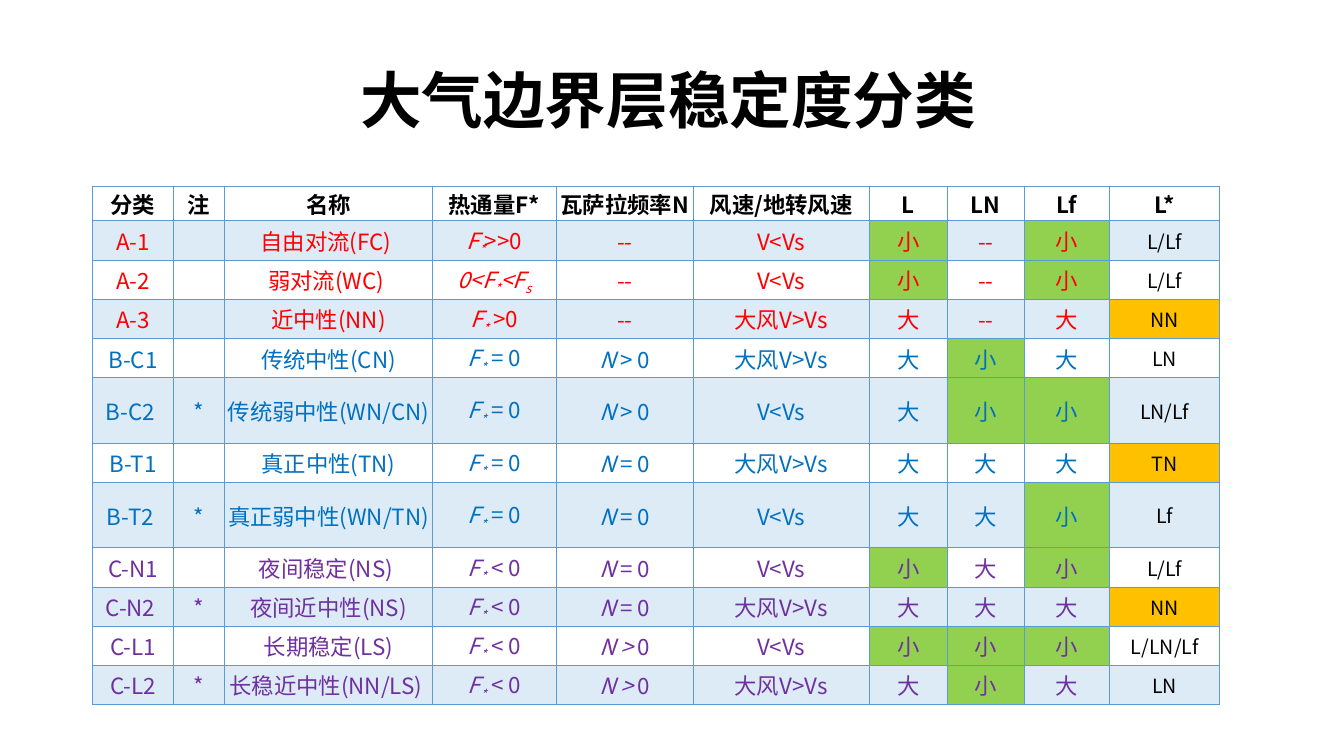
import dataclasses
import typing

import lxml.etree
import pptx
import pptx.dml.color
import pptx.enum.text
import pptx.oxml.ns
import pptx.util

Pt = pptx.util.Pt
RGBColor = pptx.dml.color.RGBColor

FONT = "Noto Sans CJK SC"
BLACK = RGBColor(0x00, 0x00, 0x00)
CONVECTIVE = RGBColor(0xFF, 0x00, 0x00)
NEUTRAL = RGBColor(0x00, 0x70, 0xC0)
STABLE = RGBColor(0x70, 0x30, 0xA0)
BAND = RGBColor(0xDD, 0xEB, 0xF7)
SMALL_SCALE = RGBColor(0x92, 0xD0, 0x50)
NEUTRAL_LIMIT = RGBColor(0xFF, 0xC0, 0x00)
GRID = RGBColor(0x5B, 0x9B, 0xD5)

WEAK_WIND = "V<Vs"
STRONG_WIND = "大风V>Vs"


class Span(typing.NamedTuple):
    text: str
    italic: bool = False
    subscript: bool = False


Spans = list[Span]


@dataclasses.dataclass(frozen=True)
class TextStyle:
    size: float
    color: RGBColor
    bold: bool = False


@dataclasses.dataclass(frozen=True)
class StabilityClass:
    code: str
    note: str
    name: str
    heat_flux: Spans
    frequency: Spans
    wind: str
    scales: tuple[str, str, str]
    governing_scale: str


def flux(relation: str) -> Spans:
    return [Span("F", True), Span("*", True, True), Span(relation)]


def buoyancy(symbol: str, relation: str) -> Spans:
    return [Span(symbol, True), Span(relation)]


NO_VALUE = [Span("--")]
WEAK_FLUX = [Span("0<F", True), Span("*", True, True), Span("<F", True), Span("s", True, True)]
ZERO_FLUX = flux(" = 0")
DOWNWARD_FLUX = flux(" < 0")
STRATIFIED = buoyancy("N ", "> 0")
UNSTRATIFIED = buoyancy("N ", "= 0")
LONG_LIVED = buoyancy("N > ", "0")

HEADINGS = ["分类", "注", "名称", "热通量F*", "瓦萨拉频率N", "风速/地转风速", "L", "LN", "Lf", "L*"]
COLUMN_WIDTHS = [57.6, 36.7, 148.3, 88.6, 98, 125.3, 56.2, 54.7, 61.2, 78.5]
HEADING_HEIGHT = 24.5
CLASS_HEIGHT = 28
FAMILY_COLORS = {"A": CONVECTIVE, "B": NEUTRAL, "C": STABLE}

CLASSES = [
    StabilityClass("A-1", "", "自由对流(FC) ", flux(">>0"), NO_VALUE, WEAK_WIND, ("小", "--", "小"), "L/Lf"),
    StabilityClass("A-2", "", "弱对流(WC) ", WEAK_FLUX, NO_VALUE, WEAK_WIND, ("小", "--", "小"), "L/Lf"),
    StabilityClass("A-3", "", "近中性(NN)", flux(" >0"), NO_VALUE, STRONG_WIND, ("大", "--", "大"), "NN"),
    StabilityClass("B-C1", "", "传统中性(CN)", ZERO_FLUX, STRATIFIED, STRONG_WIND, ("大", "小", "大"), "LN"),
    StabilityClass("B-C2 ", "*", "传统弱中性(WN/CN)", ZERO_FLUX, STRATIFIED, WEAK_WIND, ("大", "小", "小"), "LN/Lf"),
    StabilityClass("B-T1", "", "真正中性(TN)", ZERO_FLUX, UNSTRATIFIED, STRONG_WIND, ("大", "大", "大"), "TN"),
    StabilityClass("B-T2 ", "*", "真正弱中性(WN/TN)", ZERO_FLUX, UNSTRATIFIED, WEAK_WIND, ("大", "大", "小"), "Lf"),
    StabilityClass("C-N1", "", "夜间稳定(NS) ", DOWNWARD_FLUX, UNSTRATIFIED, WEAK_WIND, ("小", "大", "小"), "L/Lf"),
    StabilityClass("C-N2 ", "*", "夜间近中性(NS)", DOWNWARD_FLUX, UNSTRATIFIED, STRONG_WIND, ("大", "大", "大"), "NN"),
    StabilityClass("C-L1", "", "长期稳定(LS)", DOWNWARD_FLUX, LONG_LIVED, WEAK_WIND, ("小", "小", "小"), "L/LN/Lf"),
    StabilityClass("C-L2", "*", "长稳近中性(NN/LS) ", DOWNWARD_FLUX, LONG_LIVED, STRONG_WIND, ("大", "小", "大"), "LN"),
]


def add_child(parent, tag: str, **attributes: str):
    return lxml.etree.SubElement(parent, pptx.oxml.ns.qn(tag), **attributes)


def write_spans(paragraph, spans: Spans, style: TextStyle) -> None:
    paragraph.alignment = pptx.enum.text.PP_ALIGN.CENTER
    for span in spans:
        run = paragraph.add_run()
        run.text = span.text
        run.font.size = Pt(style.size)
        run.font.bold = style.bold
        run.font.italic = span.italic
        run.font.color.rgb = style.color
        run.font.name = FONT
        properties = run.font._element
        add_child(properties, "a:ea", typeface=FONT)
        if span.subscript:
            properties.set("baseline", "-25000")


def draw_borders(cell) -> None:
    properties = cell._tc.get_or_add_tcPr()
    for side in ("a:lnL", "a:lnR", "a:lnT", "a:lnB"):
        line = add_child(properties, side, w=str(Pt(0.5)))
        add_child(add_child(line, "a:solidFill"), "a:srgbClr", val=str(GRID))


def draw_cell(cell, spans: Spans, style: TextStyle, fill: typing.Optional[RGBColor]) -> None:
    cell.vertical_anchor = pptx.enum.text.MSO_ANCHOR.MIDDLE
    cell.margin_left = cell.margin_right = cell.margin_top = Pt(0.7)
    cell.margin_bottom = Pt(0)
    draw_borders(cell)
    if fill is None:
        cell.fill.background()
    else:
        cell.fill.solid()
        cell.fill.fore_color.rgb = fill
    write_spans(cell.text_frame.paragraphs[0], [span for span in spans if span.text], style)


def draw_class(table, row: int, stability: StabilityClass) -> None:
    family_style = TextStyle(16, FAMILY_COLORS[stability.code[0]])
    band = BAND if row % 2 else None
    contents = [
        [Span(stability.code)],
        [Span(stability.note)],
        [Span(stability.name)],
        stability.heat_flux,
        stability.frequency,
        [Span(stability.wind)],
        *([Span(scale)] for scale in stability.scales),
    ]
    for column, spans in enumerate(contents):
        fill = SMALL_SCALE if spans[0].text == "小" else band
        draw_cell(table.cell(row, column), spans, family_style, fill)
    fill = NEUTRAL_LIMIT if stability.governing_scale in ("NN", "TN") else band
    draw_cell(table.cell(row, len(contents)), [Span(stability.governing_scale)], TextStyle(14, BLACK), fill)


def draw_title(title) -> None:
    title.left, title.top, title.width, title.height = Pt(66), Pt(28.8), Pt(823), Pt(90.7)
    title.text_frame.vertical_anchor = pptx.enum.text.MSO_ANCHOR.MIDDLE
    paragraph = title.text_frame.paragraphs[0]
    paragraph.line_spacing = 0.9
    write_spans(paragraph, [Span("大气边界层稳定度分类")], TextStyle(44, BLACK, True))


def draw_classification(slide) -> None:
    height = HEADING_HEIGHT + CLASS_HEIGHT * len(CLASSES)
    table = slide.shapes.add_table(
        len(CLASSES) + 1, len(HEADINGS), Pt(66.2), Pt(133.2), Pt(sum(COLUMN_WIDTHS)), Pt(height)
    ).table
    table.first_row = False
    table.horz_banding = False
    for column, width in zip(table.columns, COLUMN_WIDTHS):
        column.width = Pt(width)
    for row in table.rows:
        row.height = Pt(CLASS_HEIGHT)
    table.rows[0].height = Pt(HEADING_HEIGHT)
    for column, heading in enumerate(HEADINGS):
        draw_cell(table.cell(0, column), [Span(heading)], TextStyle(16, BLACK, True), None)
    for row, stability in enumerate(CLASSES, start=1):
        draw_class(table, row, stability)


presentation = pptx.Presentation()
presentation.slide_width = Pt(960)
presentation.slide_height = Pt(540)
stability_slide = presentation.slides.add_slide(presentation.slide_layouts[5])
draw_title(stability_slide.shapes.title)
draw_classification(stability_slide)
presentation.save("out.pptx")
